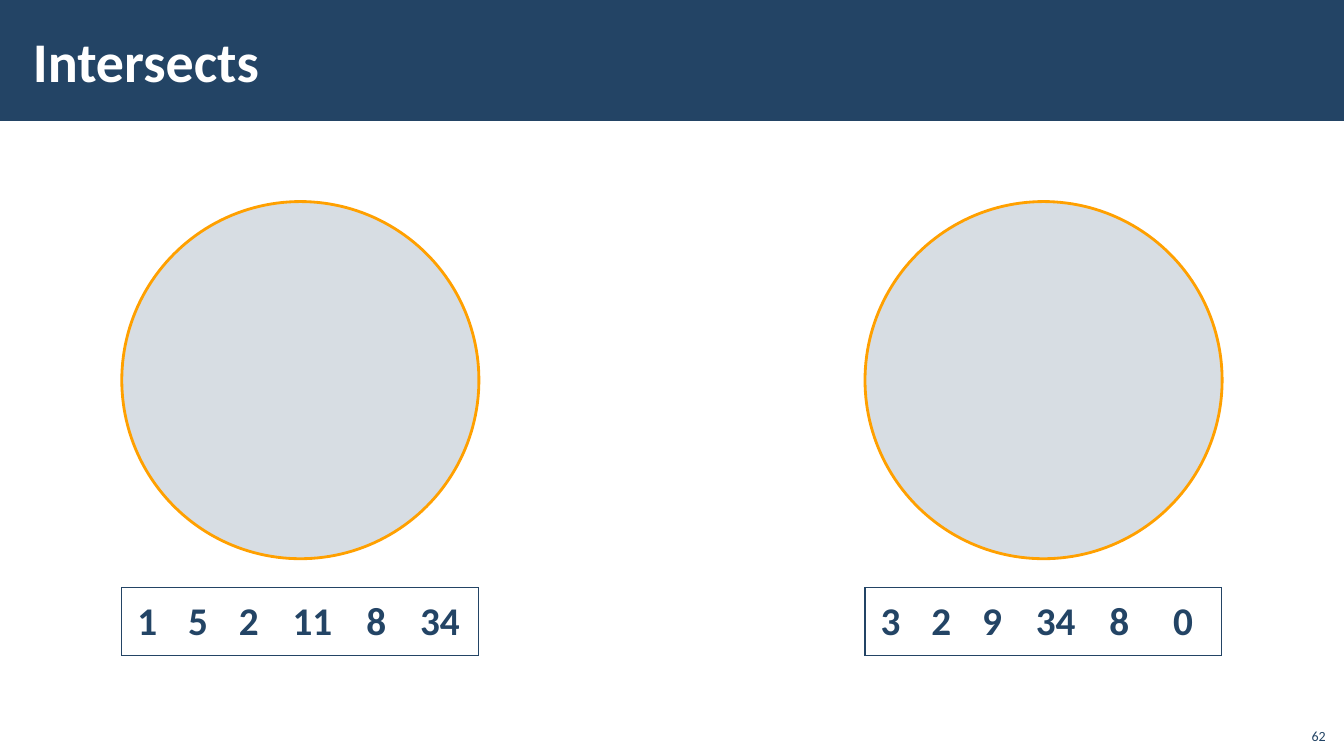
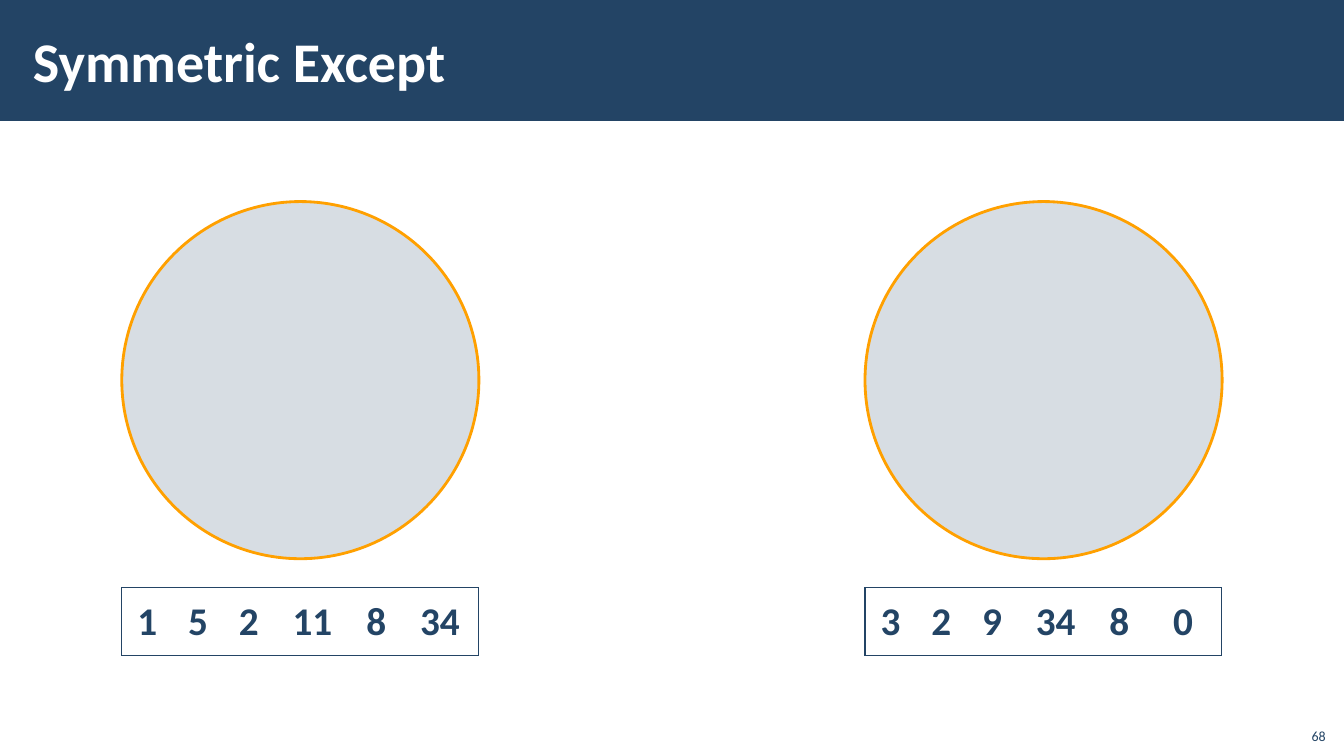
from dataclasses import dataclass

from lxml.etree import SubElement
from pptx import Presentation
from pptx.dml.color import RGBColor
from pptx.enum.shapes import MSO_SHAPE as Shape
from pptx.enum.text import MSO_ANCHOR as Anchor, PP_ALIGN as Align
from pptx.oxml.ns import qn
from pptx.slide import Slide
from pptx.text.text import TextFrame
from pptx.util import Cm, Length, Pt

# Shared style
NAVY = RGBColor(0x23, 0x44, 0x65)
AMBER = RGBColor(0xFF, 0xA0, 0x00)
WHITE = RGBColor(0xFF, 0xFF, 0xFF)
FONT = "Calibri"

# Shared layout
SLIDE_W, SLIDE_H = Cm(33.87), Cm(19.05)
BAND_H = Cm(3.05)
SET_SIZE, SET_MARGIN = Cm(9), Cm(3.07)
CIRCLE_TOP, TABLE_TOP, ROW_H = Cm(5.08), Cm(14.81), Cm(1.7)
NARROW, WIDE = Cm(1.28), Cm(1.93)
COLUMNS = (NARROW, NARROW, NARROW, WIDE, NARROW, WIDE)


@dataclass(frozen=True)
class NumberSet:
    left: Length
    values: tuple[int, ...]


@dataclass(frozen=True)
class SetSlide:
    title: str
    number: int


NUMBER_SETS = (
    NumberSet(SET_MARGIN, (1, 5, 2, 11, 8, 34)),
    NumberSet(SLIDE_W - SET_MARGIN - SET_SIZE, (3, 2, 9, 34, 8, 0)),
)
SLIDES = (SetSlide("Intersects", 62), SetSlide("Symmetric Except", 68))


def set_text(tf: TextFrame, text: str, size: int, color: RGBColor,
             bold: bool = False, align: Align = Align.LEFT) -> None:
    tf.text = text
    p = tf.paragraphs[0]
    p.alignment = align
    font = p.runs[0].font
    font.name, font.size, font.bold = FONT, Pt(size), bold
    font.color.rgb = color


def add_frame(s: Slide, title: str, number: int) -> None:
    # Title band
    band = s.shapes.add_shape(Shape.RECTANGLE, 0, 0, SLIDE_W, BAND_H)
    band.shadow.inherit = False
    band.fill.solid()
    band.fill.fore_color.rgb = NAVY
    band.line.fill.background()

    # Title
    tf = s.shapes.add_textbox(Cm(0.53), Cm(0.28), Cm(27), Cm(2.46)).text_frame
    tf.word_wrap = True
    tf.vertical_anchor = Anchor.MIDDLE
    tf.margin_left = tf.margin_right = Cm(0.3)
    tf.margin_top = tf.margin_bottom = Cm(0.1)
    set_text(tf, title, 40, WHITE, bold=True)

    # Slide number
    tf = s.shapes.add_textbox(Cm(32.64), Cm(18.08), Cm(1.02), Cm(0.81)).text_frame
    tf.word_wrap = True
    tf.vertical_anchor = Anchor.BOTTOM
    set_text(tf, str(number), 10, NAVY, align=Align.RIGHT)


def add_circle(s: Slide, left: Length) -> None:
    sp = s.shapes.add_shape(Shape.OVAL, left, CIRCLE_TOP, SET_SIZE, SET_SIZE)
    sp.shadow.inherit = False
    sp.fill.solid()
    sp.fill.fore_color.rgb = NAVY
    color = sp.fill._xPr.find(qn("a:solidFill"))[0]
    SubElement(color, qn("a:alpha"), val="18000")
    sp.line.color.rgb = AMBER
    sp.line.width = Pt(2)


def set_borders(cell, visible: str) -> None:
    tc_pr = cell._tc.get_or_add_tcPr()
    for side in "LRTB":
        ln = SubElement(tc_pr, qn(f"a:ln{side}"), w=str(Pt(1)))
        if side in visible:
            fill = SubElement(ln, qn("a:solidFill"))
            SubElement(fill, qn("a:srgbClr"), val=str(NAVY))
        else:
            SubElement(ln, qn("a:noFill"))


def add_value_table(s: Slide, number_set: NumberSet) -> None:
    table = s.shapes.add_table(1, len(COLUMNS), number_set.left, TABLE_TOP,
                               sum(COLUMNS), ROW_H).table
    table.first_row = table.horz_banding = False
    last = len(COLUMNS) - 1
    for i, (width, value) in enumerate(zip(COLUMNS, number_set.values)):
        table.columns[i].width = width
        cell = table.cell(0, i)
        set_borders(cell, "TB" + "L" * (i == 0) + "R" * (i == last))
        cell.fill.background()
        cell.vertical_anchor = Anchor.MIDDLE
        cell.margin_left = cell.margin_right = Cm(0.32)
        cell.margin_top = cell.margin_bottom = Cm(0.13)
        set_text(cell.text_frame, str(value), 28, NAVY, True, Align.CENTER)
        cell.text_frame.paragraphs[0].line_spacing = 0.95


def main() -> None:
    prs = Presentation()
    prs.slide_width, prs.slide_height = SLIDE_W, SLIDE_H
    blank = prs.slide_layouts[6]
    for content in SLIDES:
        s = prs.slides.add_slide(blank)
        add_frame(s, content.title, content.number)
        for number_set in NUMBER_SETS:
            add_circle(s, number_set.left)
            add_value_table(s, number_set)
    prs.save("out.pptx")


if __name__ == "__main__":
    main()
